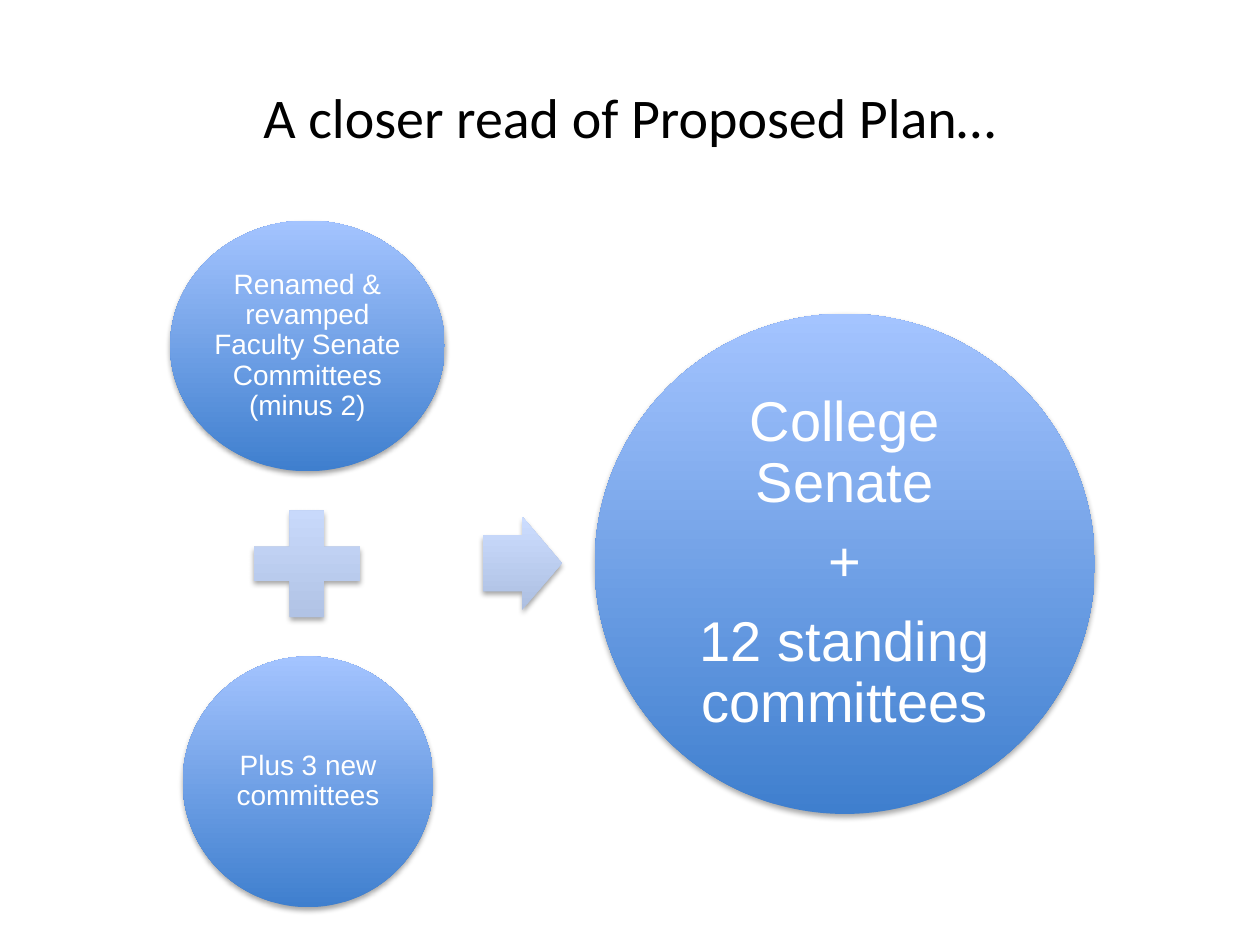
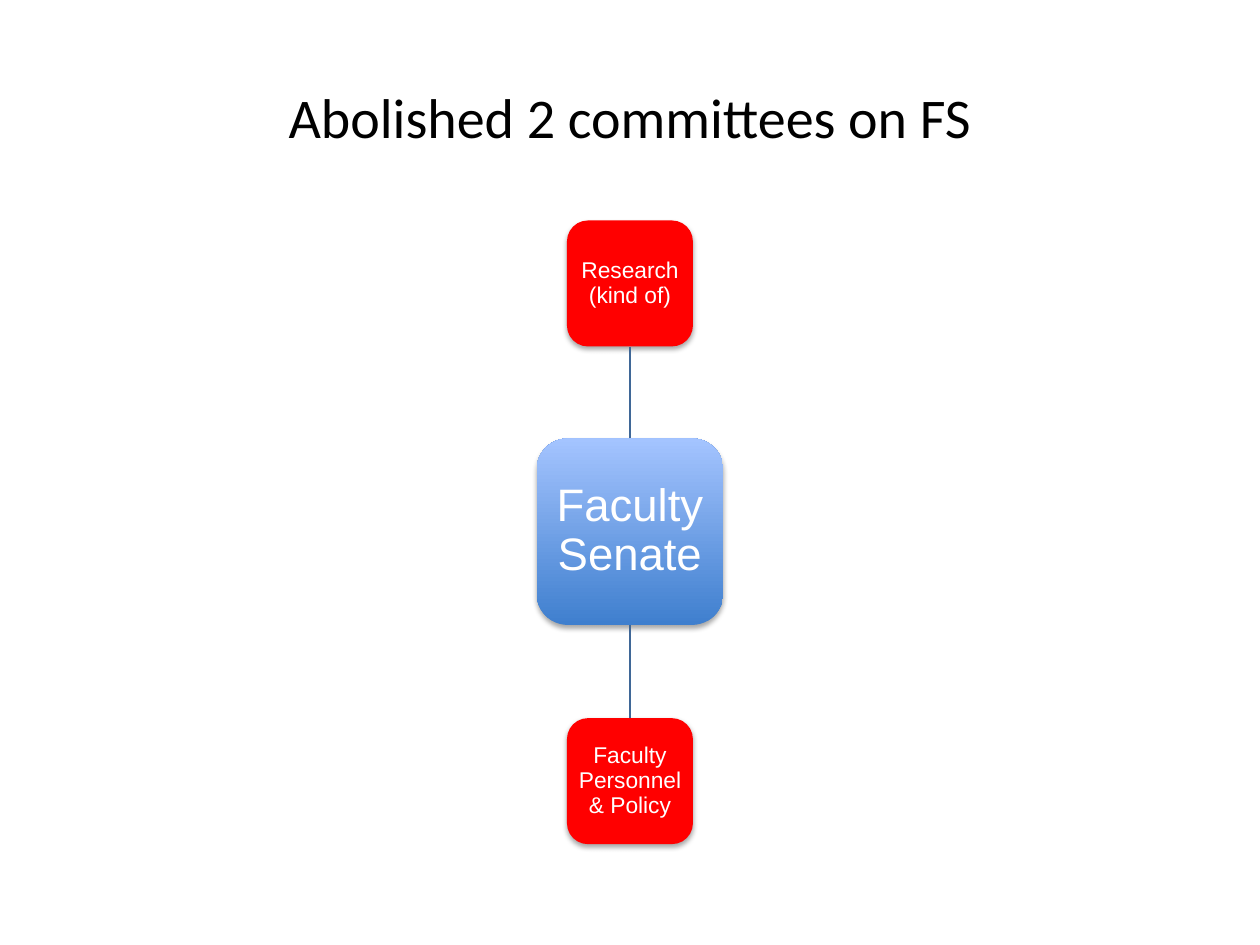
from lxml import etree
from pptx import Presentation
from pptx import util as u
from pptx.dml.color import RGBColor
from pptx.enum import shapes, text
from pptx.oxml import parse_xml
from pptx.oxml.ns import nsdecls, qn

PX = 9144
HUES = {
    "ink": "000000",
    "white": "FFFFFF",
    "red": "FF0000",
    "line": "3F6797",
    "deep": "3F7FCE",
    "sky": "A4C4FF",
    "dusk": "ADBFE1",
    "pale": "CCDDFF",
}
BLUE = ("deep", "sky")
MIST = ("dusk", "pale")
FORM = shapes.MSO_SHAPE
SHADE = (
    f'<a:outerShdw {nsdecls("a")} blurRad="39370" dist="22860" dir="5400000" rotWithShape="0">'
    '<a:srgbClr val="000000"><a:alpha val="35000"/></a:srgbClr></a:outerShdw>'
)


def style(frame, size, font, hue):
    frame.word_wrap = True
    frame.vertical_anchor = text.MSO_ANCHOR.MIDDLE
    for para in frame.paragraphs:
        para.alignment = text.PP_ALIGN.CENTER
        for run in para.runs:
            run.font.size = u.Pt(size)
            run.font.name = font
            run.font.color.rgb = RGBColor.from_string(HUES[hue])


def draw(slide, form, box, hues, words="", size=16, inset=2):
    shape = slide.shapes.add_shape(form, *(n * PX for n in box))
    if len(hues) == 1:
        shape.fill.solid()
        shape.fill.fore_color.rgb = RGBColor.from_string(HUES[hues[0]])
    else:
        shape.fill.gradient()
        shape.fill.gradient_angle = 90
        for stop, hue in zip(shape.fill.gradient_stops, hues):
            stop.color.rgb = RGBColor.from_string(HUES[hue])
    shape.line.fill.background()
    shape.shadow.inherit = False
    shape._element.spPr.find(qn("a:effectLst")).append(parse_xml(SHADE))
    if words:
        frame = shape.text_frame
        frame.text = words
        frame.margin_left = frame.margin_right = inset * PX
        frame.margin_top = frame.margin_bottom = inset * PX
        style(frame, size, "Arial", "white")
        for para in frame.paragraphs:
            para.line_spacing = 0.9
            para.space_after = u.Pt(round(size * 0.35))
    return shape


deck = Presentation()
deck.slide_width = 1000 * PX
deck.slide_height = 750 * PX

pages = []
for words in ("A closer read of Proposed Plan…", "Abolished 2 committees on FS"):
    page = deck.slides.add_slide(deck.slide_layouts[5])
    title = page.shapes.title
    title.left, title.top, title.width, title.height = (n * PX for n in (50, 30, 900, 125))
    title.text_frame.text = words
    style(title.text_frame, 32, "Calibri", "ink")
    pages.append(page)
plan, cuts = pages

draw(plan, FORM.OVAL, (135, 175, 218, 199), BLUE,
     "Renamed & revamped Faculty Senate Committees (minus 2)")
draw(plan, FORM.MATH_PLUS, (186, 390, 115, 115), MIST)
draw(plan, FORM.OVAL, (145, 521, 199, 199), BLUE, "Plus 3 new committees")
arrow = draw(plan, FORM.RIGHT_ARROW, (383, 410, 63, 74), MIST)
arrow.adjustments[0] = 0.6
draw(plan, FORM.OVAL, (472, 249, 397, 397), BLUE,
     "College Senate\n+\n12 standing committees", 32, 4)

hub = draw(cuts, FORM.ROUNDED_RECTANGLE, (426, 348, 148, 148), BLUE, "Faculty Senate", 26, 7)
for words, top, start, end in (
    ("Research (kind of)", 175, 0, 2),
    ("Faculty Personnel & Policy", 570, 2, 0),
):
    card = draw(cuts, FORM.ROUNDED_RECTANGLE, (450, top, 100, 100), ("red",), words, 13, 4)
    link = cuts.shapes.add_connector(shapes.MSO_CONNECTOR.STRAIGHT, 0, 0, 0, 0)
    link.begin_connect(hub, start)
    link.end_connect(card, end)
    link.line.color.rgb = RGBColor.from_string(HUES["line"])
    link.line.width = u.Pt(0.75)
    etree.SubElement(link._element.spPr, qn("a:effectLst"))

deck.save("out.pptx")
